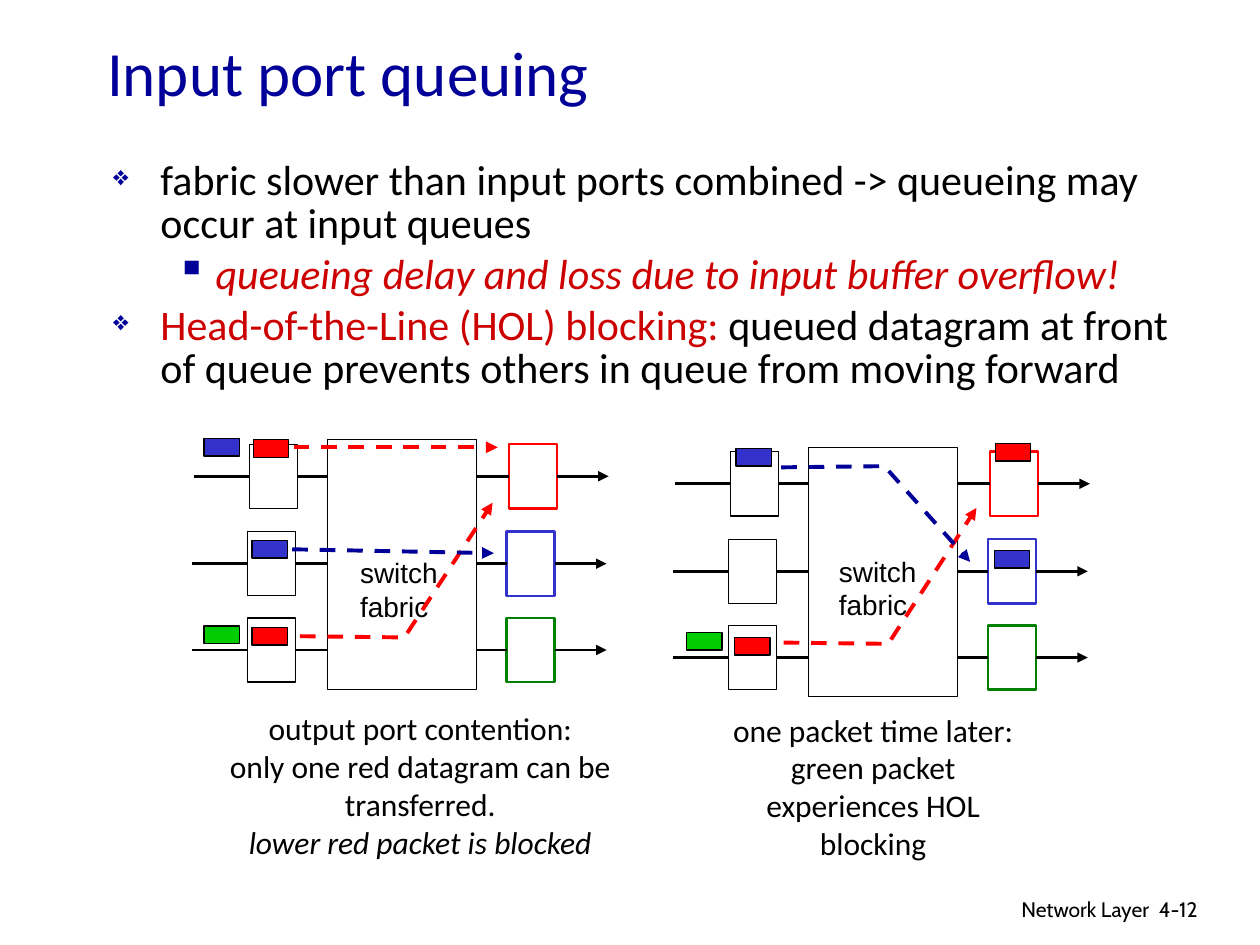
import pptx
import pptx.dml.color
import pptx.enum.dml
import pptx.enum.shapes
import pptx.enum.text
import pptx.oxml
import pptx.oxml.ns
import pptx.util
from lxml import etree

Pt = pptx.util.Pt
Align = pptx.enum.text.PP_ALIGN
BLACK, WHITE, NAVY, CRIMSON = "000000", "FFFFFF", "000099", "CC0000"
RED, BLUE, GREEN, LIME = "FF0000", "3333CC", "008000", "00CC00"
PORT_WIDTH, PORT_HEIGHT = 27.4, 36.7
FABRIC_WIDTH, FABRIC_HEIGHT = 85, 142.6
PORT_ROWS = [(0, 2.5, RED), (-1.2, 52.5, BLUE), (-1.2, 101.8, GREEN)]


def color(value):
    """Turn a hex string into a colour."""
    return pptx.dml.color.RGBColor.from_string(value)


def add_xml(parent, tag, **attributes):
    """Append a drawing element with the given attributes."""
    return etree.SubElement(parent, pptx.oxml.ns.qn("a:" + tag), attributes)


class SlideBuilder:
    """Hold the text style and the current slide."""

    font = "Calibri"

    def __init__(self, page):
        """Start on the given slide."""
        self.page = page
        self.shapes = page.shapes

    def set_font(self, font, size, fill=BLACK, name=None):
        """Apply typeface, size and colour."""
        font.name = name or self.font
        font.size = Pt(size)
        font.color.rgb = color(fill)

    def title(self, text, left, top, width, height):
        """Fill and place the title."""
        box = self.shapes.title
        box.left, box.top, box.width, box.height = map(Pt, (left, top, width, height))
        frame = box.text_frame
        frame.text = text
        frame.vertical_anchor = pptx.enum.text.MSO_ANCHOR.MIDDLE
        frame.auto_size = pptx.enum.text.MSO_AUTO_SIZE.NONE
        para = frame.paragraphs[0]
        para.alignment = Align.LEFT
        self.set_font(para.font, 36, NAVY)

    def text(self, lines, left, top, width, height, size, align=Align.LEFT, name=None, wrap=True):
        """Add a text box with one paragraph per line and return its paragraphs."""
        box = self.shapes.add_textbox(*map(Pt, (left, top, width, height)))
        frame = box.text_frame
        frame.word_wrap = wrap
        for index, line in enumerate(lines):
            para = frame.paragraphs[0] if index == 0 else frame.add_paragraph()
            para.text = line
            para.alignment = align
            self.set_font(para.font, size, name=name)
        return frame.paragraphs

    def bullets(self, items, left, top, width, height):
        """Add bulleted paragraphs made of coloured spans."""
        box = self.shapes.add_textbox(*map(Pt, (left, top, width, height)))
        frame = box.text_frame
        frame.word_wrap = True
        for index, (level, spans) in enumerate(items):
            para = frame.paragraphs[0] if index == 0 else frame.add_paragraph()
            para.level = level
            para.line_spacing = 0.85
            para.space_before = Pt(4.8)
            indent, hanging, size, mark = [(27, 27, "65000", "❖"), (58.5, 22.5, "100000", "▪")][level]
            properties = para._p.get_or_add_pPr()
            properties.set("marL", str(Pt(indent)))
            properties.set("indent", str(-Pt(hanging)))
            add_xml(add_xml(properties, "buClr"), "srgbClr", val=NAVY)
            add_xml(properties, "buSzPct", val=size)
            add_xml(properties, "buChar", char=mark)
            self.set_font(para.font, 24)
            para.font.italic = level == 1
            for words, fill in spans:
                span = para.add_run()
                span.text = words
                span.font.color.rgb = color(fill)

    def rectangle(self, left, top, width, height, fill=WHITE, line=BLACK, weight=0.75):
        """Add a filled, outlined rectangle."""
        kind = pptx.enum.shapes.MSO_SHAPE.RECTANGLE
        box = self.shapes.add_shape(kind, *map(Pt, (left, top, width, height)))
        box.shadow.inherit = False
        box.fill.solid()
        box.fill.fore_color.rgb = color(fill)
        box.line.color.rgb = color(line)
        box.line.width = Pt(weight)
        return box

    def stroke(self, shape, fill, weight, dashed, arrow):
        """Style the line of a connector or an open path."""
        shape.line.color.rgb = color(fill)
        shape.line.width = Pt(weight)
        if dashed:
            shape.line.dash_style = pptx.enum.dml.MSO_LINE.DASH
        if arrow:
            add_xml(shape.line._get_or_add_ln(), "tailEnd", type="triangle")

    def connector(self, start, end, fill=BLACK, weight=1.5, dashed=False, arrow=False):
        """Add a straight line between two points."""
        kind = pptx.enum.shapes.MSO_CONNECTOR.STRAIGHT
        line = self.shapes.add_connector(kind, *map(Pt, start + end))
        self.stroke(line, fill, weight, dashed, arrow)
        add_xml(line._element.spPr, "effectLst")
        return line

    def route(self, points, fill):
        """Add a dashed arrow through two or more points."""
        if len(points) == 2:
            self.connector(*points, fill, 2.25, True, True)
            return
        corners = [(Pt(x), Pt(y)) for x, y in points]
        builder = self.shapes.build_freeform(*corners[0])
        builder.add_line_segments(corners[1:], close=False)
        path = builder.convert_to_shape()
        path.shadow.inherit = False
        path.fill.background()
        self.stroke(path, fill, 2.25, True, True)

    def switch(self, left, top, label, packets, routes):
        """Draw a switch fabric with ports, packets and routes."""
        self.rectangle(left, top, FABRIC_WIDTH, FABRIC_HEIGHT)
        for shift, port_top, fill in PORT_ROWS:
            x, y = left + shift, top + port_top
            middle = y + PORT_HEIGHT / 2
            source = self.rectangle(x - 44.6, y, PORT_WIDTH, PORT_HEIGHT)
            target = self.rectangle(x + 103.6, y, PORT_WIDTH, PORT_HEIGHT, line=fill, weight=1.5)
            feed = self.connector((x - 76.3, middle), (x - 44.6, middle))
            feed.end_connect(source, 1)
            entry = self.connector((x - 17.2, middle), (left, middle))
            entry.begin_connect(source, 3)
            leave = self.connector((left + FABRIC_WIDTH, middle), (x + 103.6, middle))
            leave.end_connect(target, 1)
            output = self.connector((x + 131, middle), (x + 160.6, middle), arrow=True)
            output.begin_connect(target, 3)
        for x, y, fill in packets:
            self.rectangle(left + x, top + y, 20.2, 10.1, fill)
        self.text(["switch", "fabric"], left + label[0], top + label[1], 59, 46, 16, name="Arial", wrap=False)
        for fill, points in routes:
            self.route([(left + x, top + y) for x, y in points], fill)


def main():
    """Build the slide and save it."""
    deck = pptx.Presentation()
    deck.slide_width, deck.slide_height = Pt(720), Pt(540)
    slide = SlideBuilder(deck.slides.add_slide(deck.slide_layouts[5]))
    slide.title("Input port queuing", 54, 23, 612, 36)
    slide.bullets([
        (0, [("fabric slower than input ports combined -> queueing may occur at input queues", BLACK)]),
        (1, [("queueing delay and loss due to input buffer overflow!", CRIMSON)]),
        (0, [("Head-of-the-Line (HOL) blocking:", CRIMSON),
             (" queued datagram at front of queue prevents others in queue from moving forward", BLACK)]),
    ], 57.6, 88.6, 638, 208.8)
    slide.switch(
        187.2, 251.3, (11.5, 62.6),
        [(-42.5, 0, RED), (-43.2, 57.6, BLUE), (-43.2, 107.3, RED),
         (-70.6, -0.7, BLUE), (-70.6, 106.5, LIME)],
        [(RED, [(-19.4, 4.3), (97.2, 4.3)]),
         (RED, [(-15.8, 112.3), (43.9, 113), (94.3, 36)]),
         (NAVY, [(-20.2, 62.6), (95, 64.8)])])
    slide.switch(
        462.2, 255.6, (10.1, 57.6),
        [(106.6, -2.2, RED), (-41.7, 0.7, BLUE), (-42.4, 108.7, RED),
         (-69.8, 105.8, LIME), (105.9, 59, BLUE)],
        [(RED, [(-14.4, 111.6), (45.4, 112.3), (95.8, 34.6)]),
         (NAVY, [(-15.8, 11.5), (43.2, 10.8), (92.2, 65.5)])])
    caption = slide.text(
        ["output port contention:", "only one red datagram can be transferred."],
        106.6, 401.8, 267.1, 93.6, 18, Align.CENTER)
    caption[1].add_line_break()
    span = caption[1].add_run()
    span.text = "lower red packet is blocked"
    span.font.italic = True
    slide.text(["one packet time later: green packet experiences HOL blocking"],
               411.1, 402.5, 175.7, 93.6, 18, Align.CENTER)
    slide.text(["Network Layer"], 435.6, 509, 228.2, 22, 12, Align.RIGHT, "Cabin")
    slide.text(["4-12"], 655.2, 509, 53.3, 22, 12, name="Cabin")
    deck.save("out.pptx")


if __name__ == "__main__":
    main()
